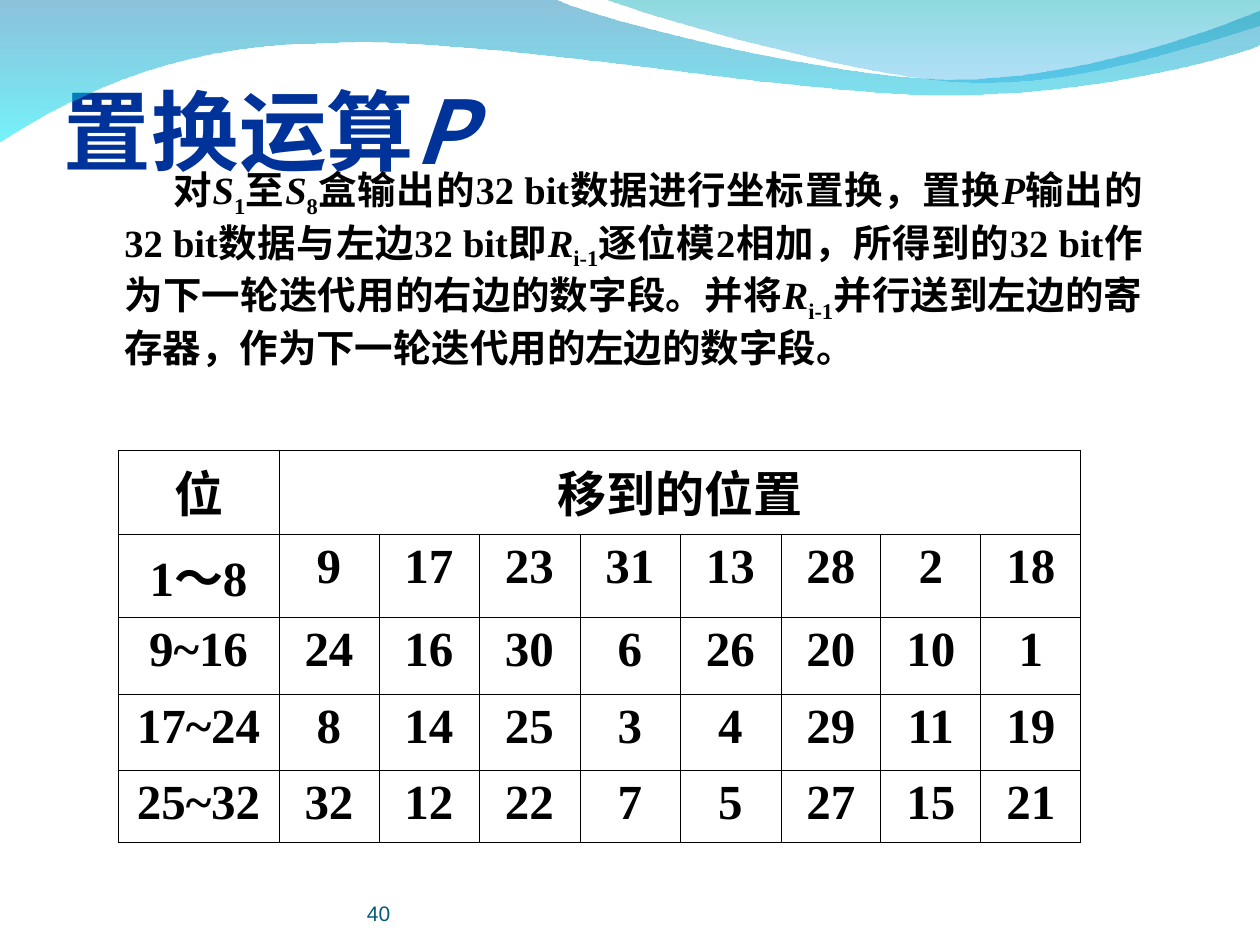
from dataclasses import dataclass

import pptx
import pptx.dml.color
import pptx.enum.text
import pptx.oxml
import pptx.oxml.ns
import pptx.util

EMU_PER_PX = 914400 / 126
Align = pptx.enum.text.PP_ALIGN
Anchor = pptx.enum.text.MSO_ANCHOR
qn = pptx.oxml.ns.qn
DRAWING_NS = pptx.oxml.ns.nsdecls("a")


@dataclass(frozen=True)
class Theme:
    title_color: str = "003399"
    ink: str = "000000"
    page_color: str = "045C75"
    cjk: str = "Noto Sans CJK SC"
    serif: str = "Times New Roman"
    sans: str = "Arial"
    title_size: int = 50
    body_size: int = 22
    table_size: int = 28
    page_size: int = 12
    border_width: float = 0.45


@dataclass(frozen=True)
class Box:
    left: int
    top: int
    width: int
    height: int


@dataclass(frozen=True)
class Run:
    text: str
    italic: bool = False
    subscript: bool = False


@dataclass(frozen=True)
class Wave:
    start: tuple
    segments: tuple  # two numbers make a line, six a cubic curve
    stops: tuple  # colour and opacity in percent, from top to bottom


THEME = Theme()

WAVES = (
    Wave((0, -1), ((554, -1), (600, 21, 837, 79, 955, 79), (1075, 79, 1207, 33, 1260, 11),
                   (1261, 45), (1239, 55, 1096, 96, 940, 95), (784, 94, 481, 35, 324, 43),
                   (163, 44, 58, 105, -1, 142)),
         (("0079AF", 45), ("00EBF8", 55))),
    Wave((604, -1), ((641, 14, 859, 78, 969, 82), (1079, 87, 1211, 40, 1260, 26), (1260, 0)),
         (("00ADB6", 45), ("009BE5", 30))),
)

TITLE = (Run("置换运算"), Run("P", italic=True))
EXPLANATION = (
    Run("对"), Run("S", italic=True), Run("1", subscript=True),
    Run("至"), Run("S", italic=True), Run("8", subscript=True),
    Run("盒输出的32 bit数据进行坐标置换，置换"), Run("P", italic=True),
    Run("输出的32 bit数据与左边32 bit即"), Run("R", italic=True), Run("i-1", subscript=True),
    Run("逐位模2相加，所得到的32 bit作为下一轮迭代用的右边的数字段。并将"),
    Run("R", italic=True), Run("i-1", subscript=True),
    Run("并行送到左边的寄存器，作为下一轮迭代用的左边的数字段。"),
)

PERMUTATION = (
    ("位", "移到的位置"),
    ("1～8", 9, 17, 23, 31, 13, 28, 2, 18),
    ("9~16", 24, 16, 30, 6, 26, 20, 10, 1),
    ("17~24", 8, 14, 25, 3, 4, 29, 11, 19),
    ("25~32", 32, 12, 22, 7, 5, 27, 15, 21),
)
ROW_HEIGHTS = (84, 83, 77, 76, 72)
COLUMN_WIDTHS = (161, 100, 100, 101, 100, 101, 100, 100, 100)


def px(length: float) -> int:
    return pptx.util.Emu(round(length * EMU_PER_PX))


def rgb(color: str):
    return pptx.dml.color.RGBColor.from_string(color)


def apply(target, values: dict) -> None:
    for key, value in values.items():
        setattr(target, key, value)


def place(shape, box: Box) -> None:
    apply(shape, {"left": px(box.left), "top": px(box.top),
                  "width": px(box.width), "height": px(box.height)})


def write(paragraph, runs: tuple, size: int, font: str, color: str, bold: bool = True) -> None:
    for part in runs:
        run = paragraph.add_run()
        run.text = part.text
        apply(run.font, {"name": font, "size": pptx.util.Pt(size),
                         "bold": bold, "italic": part.italic})
        run.font.color.rgb = rgb(color)
        properties = run.font._element
        properties.find(qn("a:latin")).addnext(pptx.oxml.parse_xml(
            f'<a:ea {DRAWING_NS} typeface="{THEME.cjk}"/>'))
        if part.subscript:
            properties.set("baseline", "-25000")


def bend_edges(shape, segments: tuple) -> None:
    """Turn the straight edges that stand for curves into cubic ones."""
    edges = list(shape._element.iter(qn("a:lnTo")))
    for edge, segment in zip(edges, segments):
        if len(segment) == 6:
            points = "".join(
                f'<a:pt x="{px(x) - shape.left}" y="{px(y) - shape.top}"/>'
                for x, y in zip(segment[::2], segment[1::2]))
            edge.getparent().replace(edge, pptx.oxml.parse_xml(
                f'<a:cubicBezTo {DRAWING_NS}>{points}</a:cubicBezTo>'))


def draw_wave(slide, wave: Wave) -> None:
    builder = slide.shapes.build_freeform(*map(px, wave.start))
    builder.add_line_segments([(px(s[-2]), px(s[-1])) for s in wave.segments], close=True)
    shape = builder.convert_to_shape()
    bend_edges(shape, wave.segments)
    shape.shadow.inherit = False
    shape.line.fill.background()
    shape.fill.gradient()
    shape.fill.gradient_angle = 270
    for stop, (color, _) in zip(shape.fill.gradient_stops, wave.stops):
        stop.color.rgb = rgb(color)
    tints = shape._element.spPr.find(qn("a:gradFill")).iter(qn("a:srgbClr"))
    for tint, (_, opacity) in zip(tints, wave.stops):
        tint.append(pptx.oxml.parse_xml(f'<a:alpha {DRAWING_NS} val="{opacity * 1000}"/>'))


def add_text(slide, box: Box, frame_format: dict):
    shape = slide.shapes.add_textbox(0, 0, 0, 0)
    place(shape, box)
    apply(shape.text_frame, {"word_wrap": True, **frame_format})
    return shape.text_frame.paragraphs[0]


def frame_cell(cell) -> None:
    properties = cell._tc.get_or_add_tcPr()
    for side in ("lnL", "lnR", "lnT", "lnB"):
        properties.append(pptx.oxml.parse_xml(
            f'<a:{side} {DRAWING_NS} w="{pptx.util.Pt(THEME.border_width)}">'
            f'<a:solidFill><a:srgbClr val="{THEME.ink}"/></a:solidFill></a:{side}>'))
    cell.fill.background()


def draw_permutation(slide, left: int, top: int) -> None:
    table = slide.shapes.add_table(
        len(ROW_HEIGHTS), len(COLUMN_WIDTHS), px(left), px(top),
        px(sum(COLUMN_WIDTHS)), px(sum(ROW_HEIGHTS))).table
    apply(table, {"first_row": False, "horz_banding": False})
    for column, width in zip(table.columns, COLUMN_WIDTHS):
        column.width = px(width)
    for row, height in zip(table.rows, ROW_HEIGHTS):
        row.height = px(height)
    for cell in table.iter_cells():
        frame_cell(cell)
    table.cell(0, 1).merge(table.cell(0, len(COLUMN_WIDTHS) - 1))
    for row, entries in enumerate(PERMUTATION):
        for column, entry in enumerate(entries):
            paragraph = table.cell(row, column).text_frame.paragraphs[0]
            paragraph.alignment = Align.CENTER
            write(paragraph, (Run(str(entry)),), THEME.table_size, THEME.serif, THEME.ink)


def main() -> None:
    deck = pptx.Presentation()
    apply(deck, {"slide_width": px(1260), "slide_height": px(945)})
    slide = deck.slides.add_slide(deck.slide_layouts[5])

    # Header waves
    for wave in WAVES:
        draw_wave(slide, wave)

    # Title
    title = slide.shapes.title
    place(title, Box(64, 50, 1134, 132))
    apply(title.text_frame, {"vertical_anchor": Anchor.BOTTOM, "word_wrap": True,
                             "auto_size": pptx.enum.text.MSO_AUTO_SIZE.NONE,
                             "margin_left": 0, "margin_right": 0,
                             "margin_top": px(6), "margin_bottom": 0})
    heading = title.text_frame.paragraphs[0]
    heading.alignment = Align.LEFT
    write(heading, TITLE, THEME.title_size, THEME.cjk, THEME.title_color)

    # Explanation with an indented first line
    explanation = add_text(slide, Box(74, 160, 1081, 223), {})
    explanation.alignment = Align.JUSTIFY
    indents = explanation._p.get_or_add_pPr()
    indents.set("marL", str(px(38)))
    indents.set("indent", str(px(49)))
    write(explanation, EXPLANATION, THEME.body_size, THEME.serif, THEME.ink)

    # Permutation table
    draw_permutation(slide, 118, 450)

    # Page number
    page = add_text(slide, Box(367, 876, 462, 50), {
        "vertical_anchor": Anchor.BOTTOM, "margin_left": 0, "margin_right": 0,
        "margin_top": 0, "margin_bottom": 0})
    write(page, (Run("40"),), THEME.page_size, THEME.sans, THEME.page_color, bold=False)

    deck.save("out.pptx")


if __name__ == "__main__":
    main()
